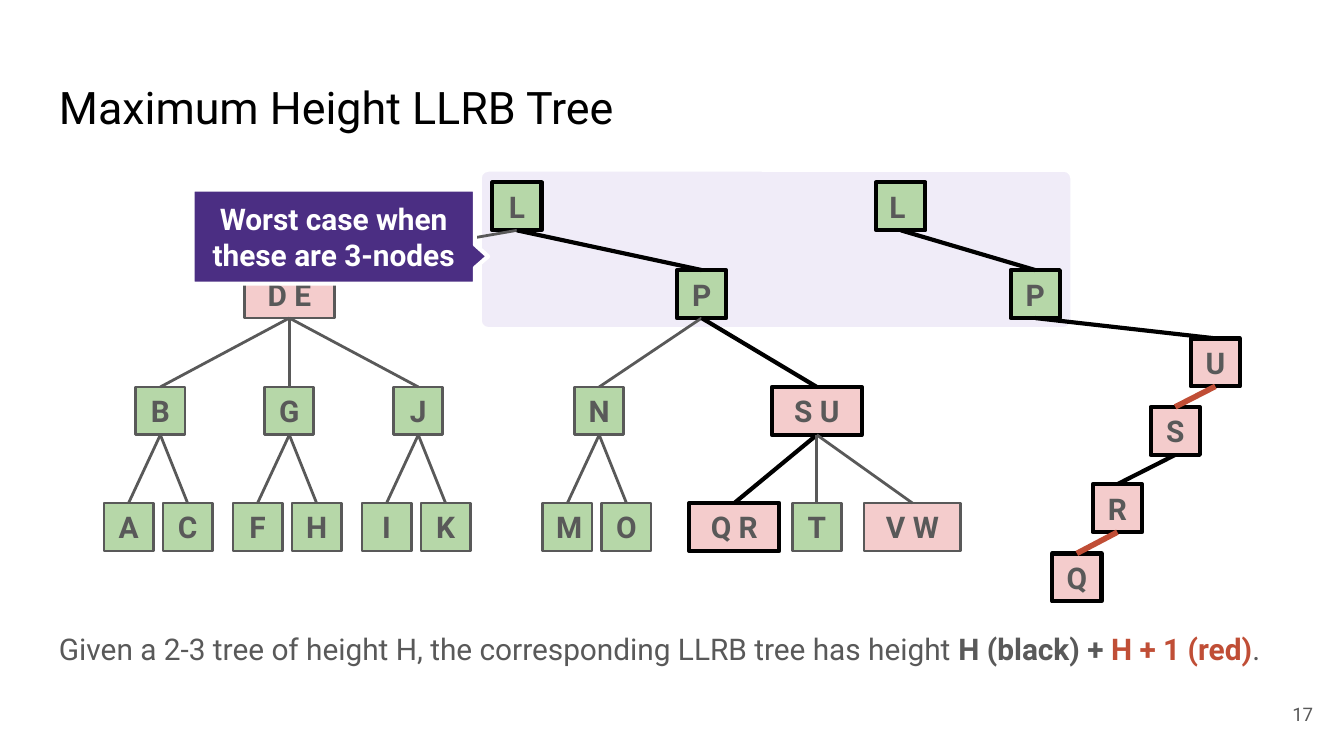
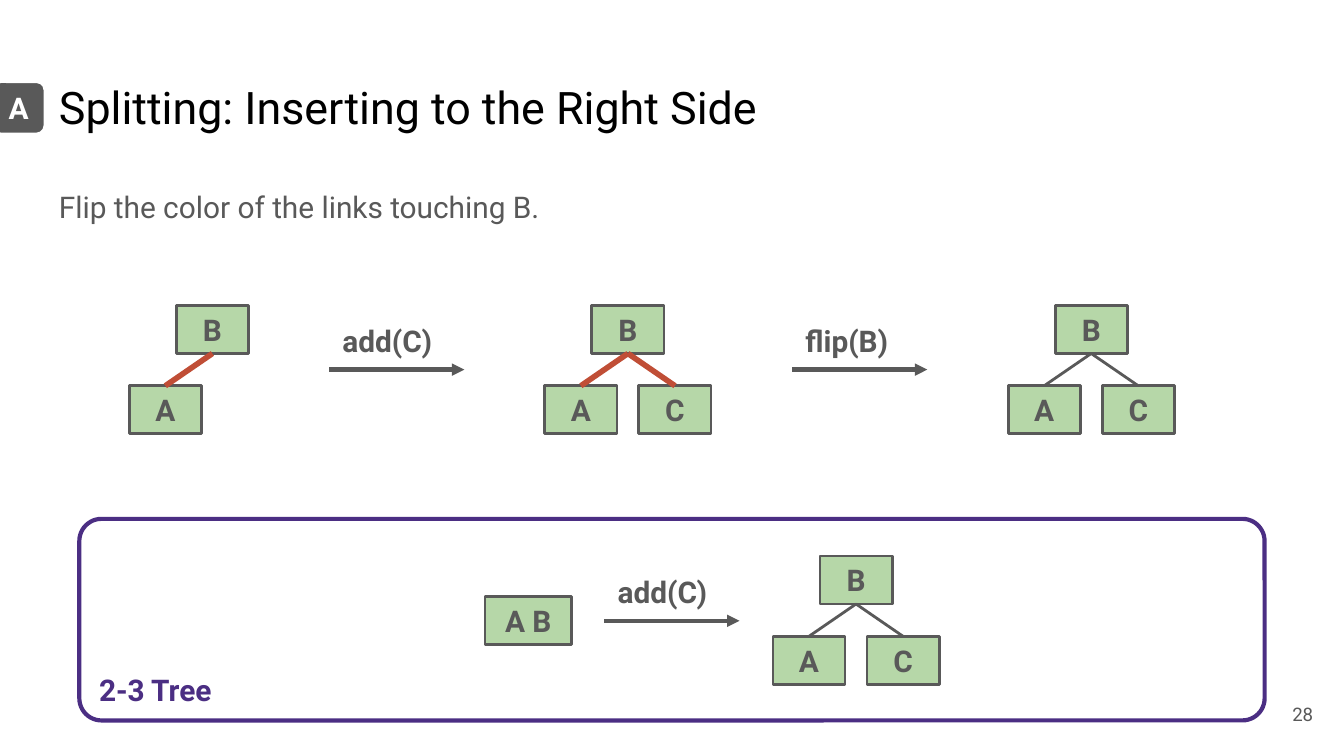
from dataclasses import dataclass

from lxml import etree
from pptx import Presentation
from pptx.dml.color import RGBColor
from pptx.enum.shapes import MSO_CONNECTOR, MSO_SHAPE
from pptx.enum.text import MSO_ANCHOR, PP_ALIGN
from pptx.oxml.ns import qn
from pptx.util import Pt

STRAIGHT = MSO_CONNECTOR.STRAIGHT
RECTANGLE = MSO_SHAPE.RECTANGLE
ROUNDED = MSO_SHAPE.ROUNDED_RECTANGLE
CALLOUT = MSO_SHAPE.ROUNDED_RECTANGULAR_CALLOUT
LEFT, CENTER, RIGHT = PP_ALIGN.LEFT, PP_ALIGN.CENTER, PP_ALIGN.RIGHT
TOP, MIDDLE, BOTTOM = MSO_ANCHOR.TOP, MSO_ANCHOR.MIDDLE, MSO_ANCHOR.BOTTOM
TOP_SIDE, BOTTOM_SIDE = 0, 2


@dataclass(frozen=True)
class Theme:
    font: str = "Roboto"
    title_size: float = 24
    body_size: float = 16
    number_size: float = 10
    black: str = "000000"
    white: str = "FFFFFF"
    gray: str = "595959"
    green: str = "B6D7A8"
    pink: str = "F4CCCC"
    red: str = "C04E36"
    purple: str = "4B2E83"
    lavender: str = "F0ECF8"
    thin: float = 1.5
    thick: float = 2.25
    red_link: float = 3
    inset: float = 7.2


THEME = Theme()
NODE_WIDTH, NODE_HEIGHT = 26.4, 25.7
PAIR_WIDTH = 48.2
TREE_TOP = 97.7


def color(value):
    return RGBColor.from_string(value)


def write(shape, runs, size=THEME.body_size, ink=THEME.gray, bold=False,
          align=LEFT, anchor=TOP, vertical_inset=THEME.inset):
    """Fill a shape with one paragraph; runs is a string or (text, overrides) pairs."""
    frame = shape.text_frame
    frame.word_wrap = True
    frame.vertical_anchor = anchor
    frame.margin_left = frame.margin_right = Pt(THEME.inset)
    frame.margin_top = frame.margin_bottom = Pt(vertical_inset)
    paragraph = frame.paragraphs[0]
    paragraph.alignment = align
    paragraph.font.name = THEME.font
    paragraph.font.size = Pt(size)
    paragraph.font.bold = bold
    paragraph.font.color.rgb = color(ink)
    if isinstance(runs, str):
        runs = [(runs, {})]
    for text, overrides in runs:
        run = paragraph.add_run()
        run.text = text
        if "bold" in overrides:
            run.font.bold = overrides["bold"]
        if "ink" in overrides:
            run.font.color.rgb = color(overrides["ink"])
    return paragraph


def add_text(slide, box, runs, **style):
    return write(slide.shapes.add_textbox(*map(Pt, box)), runs, **style)


def add_panel(slide, kind, box, fill, line, line_width, adjustments=()):
    shape = slide.shapes.add_shape(kind, *map(Pt, box))
    shape.shadow.inherit = False
    if fill:
        shape.fill.solid()
        shape.fill.fore_color.rgb = color(fill)
    else:
        shape.fill.background()
    shape.line.color.rgb = color(line)
    shape.line.width = Pt(line_width)
    for index, value in enumerate(adjustments):
        shape.adjustments[index] = value
    return shape


def add_node(slide, box, keys, fill=THEME.green, critical=False, align=CENTER):
    line, width = (THEME.black, THEME.thick) if critical else (THEME.gray, THEME.thin)
    node = add_panel(slide, RECTANGLE, box, fill, line, width)
    write(node, keys, bold=True, align=align, anchor=MIDDLE)
    return node


def add_line(slide, start, end, ink, width):
    line = slide.shapes.add_connector(STRAIGHT, *map(Pt, (*start, *end)))
    line.line.color.rgb = color(ink)
    line.line.width = Pt(width)
    etree.SubElement(line._element.spPr, qn("a:effectLst"))
    return line


def add_link(slide, parent, child, ink=THEME.gray, width=THEME.thin):
    link = add_line(slide, (0, 0), (0, 0), ink, width)
    link.begin_connect(parent, BOTTOM_SIDE)
    link.end_connect(child, TOP_SIDE)


def add_frame(presentation, title, number):
    """Start a slide with its title and slide number."""
    slide = presentation.slides.add_slide(presentation.slide_layouts[6])
    add_text(slide, (24.5, 35.3, 671, 45.4), title, size=THEME.title_size, ink=THEME.black)
    add_text(slide, (667.4, 367.2, 43.2, 31), str(number), size=THEME.number_size,
             align=RIGHT, anchor=MIDDLE)
    return slide


def add_body(slide, top, runs):
    paragraph = add_text(slide, (24.5, top, 671, 32.4), runs)
    paragraph.line_spacing = 1.15
    paragraph.space_after = Pt(8)


def draw_two_three_tree(slide, left, top):
    level_tops = (0, 47, 109.6, 171.8)
    critical = {"L", "P", "S U", "Q R"}
    # keys: (level, centre, parent)
    places = {
        "L": (0, 221.5, None),
        "D E": (1, 99.6, "L"), "P": (1, 320.5, "L"),
        "B": (2, 30.5, "D E"), "G": (2, 99.6, "D E"), "J": (2, 168.7, "D E"),
        "N": (2, 265.6, "P"), "S U": (2, 382.2, "P"),
        "Q R": (3, 338, "S U"), "T": (3, 382.2, "S U"), "V W": (3, 433.4, "S U"),
    }
    for parent, leaves in {"B": "AC", "G": "FH", "J": "IK", "N": "MO"}.items():
        for leaf, shift in zip(leaves, (-17, 14.6)):
            places[leaf] = (3, places[parent][1] + shift, parent)

    nodes = {}
    for keys, (level, center, _) in places.items():
        pair = " " in keys
        width = 51.8 if keys == "V W" else PAIR_WIDTH if pair else NODE_WIDTH
        box = (left + center - width / 2, top + level_tops[level], width, NODE_HEIGHT)
        nodes[keys] = add_node(slide, box, keys, THEME.pink if pair else THEME.green,
                               keys in critical)
    for keys, (_, _, parent) in places.items():
        if parent and keys in critical:
            add_link(slide, nodes[parent], nodes[keys], THEME.black, THEME.thick)
        elif parent:
            add_link(slide, nodes[parent], nodes[keys])


def draw_longest_path(slide, left, top):
    """Draw the root-to-leaf path of the LLRB tree, with its red links."""
    # key, x, y, fill, red link from the node above
    steps = (
        ("L", 0, 0, THEME.green, False),
        ("P", 72, 47, THEME.green, False),
        ("U", 168.5, 83.6, THEME.pink, False),
        ("S", 147, 120.3, THEME.pink, True),
        ("R", 116, 161.7, THEME.pink, False),
        ("Q", 94.3, 198.8, THEME.pink, True),
    )
    nodes = [
        add_node(slide, (left + x, top + y, NODE_WIDTH, NODE_HEIGHT), key, fill, True,
                 LEFT if key == "L" else CENTER)
        for key, x, y, fill, _ in steps
    ]
    for parent, child, step in zip(nodes, nodes[1:], steps[1:]):
        style = (THEME.red, THEME.red_link) if step[-1] else (THEME.black, THEME.thick)
        add_link(slide, parent, child, *style)


def draw_small_tree(slide, center, top, children="AC", red=False):
    """Draw root B and its children, centred on the root."""
    width, reach, drop = 38.7, 25.2, 43
    root = add_node(slide, (center - width / 2, top, width, NODE_HEIGHT), "B")
    style = (THEME.red, THEME.red_link) if red else (THEME.gray, THEME.thin)
    for key, shift in zip(children, (-reach, reach)):
        box = (center + shift - width / 2, top + drop, width, NODE_HEIGHT)
        add_link(slide, root, add_node(slide, box, key), *style)


def draw_operation(slide, left, top, label):
    """Draw an arrow with the name of the operation above it."""
    width, height = 72.4, 32.4
    arrow = add_line(slide, (left, top + height), (left + width, top + height),
                     THEME.gray, THEME.thick)
    etree.SubElement(arrow.line._get_or_add_ln(), qn("a:tailEnd"), type="triangle")
    add_text(slide, (left, top, width, height), label, bold=True)


def build_height_slide(presentation):
    slide = add_frame(presentation, "Maximum Height LLRB Tree", 17)
    add_panel(slide, ROUNDED, (257, 90.9, 317.5, 85.4), THEME.lavender,
              THEME.white, THEME.thick, (0.053,))
    draw_two_three_tree(slide, 55.4, TREE_TOP)
    draw_longest_path(slide, 469.4, TREE_TOP)
    callout = add_panel(slide, CALLOUT, (103.2, 101.6, 151.2, 50.4), THEME.purple,
                        THEME.white, THEME.thick, (0.547, 0.21, 0))
    write(callout, "Worst case when these are 3-nodes", ink=THEME.white, bold=True,
          align=CENTER, anchor=MIDDLE)
    add_body(slide, 327.6, [
        ("Given a 2-3 tree of height H, the corresponding LLRB tree has height ", {}),
        ("H (black) + ", {"bold": True}),
        ("H + 1 (red)", {"bold": True, "ink": THEME.red}),
        (".", {}),
    ])


def build_splitting_slide(presentation):
    slide = add_frame(presentation, "Splitting: Inserting to the Right Side", 28)
    add_body(slide, 90.9, "Flip the color of the links touching B.")
    badge = add_panel(slide, ROUNDED, (-4.3, 43.4, 28.8, 28.8), THEME.gray,
                      THEME.white, THEME.thick, (0.167,))
    write(badge, "A", ink=THEME.white, bold=True, align=CENTER, anchor=MIDDLE)

    row_top = 163.7
    draw_small_tree(slide, 113.8, row_top, children="A", red=True)
    draw_operation(slide, 176.4, row_top + 1.9, "add(C)")
    draw_small_tree(slide, 336.4, row_top, red=True)
    draw_operation(slide, 424.4, row_top + 1.9, "flip(B)")
    draw_small_tree(slide, 584.6, row_top)
    draw_two_three_panel(slide, 42.5, 278)


def draw_two_three_panel(slide, left, top):
    panel = add_panel(slide, ROUNDED, (left, top, 635, 108), None,
                      THEME.purple, THEME.thick, (0.11,))
    write(panel, "2-3 Tree", ink=THEME.purple, bold=True, anchor=BOTTOM, vertical_inset=3.6)
    add_node(slide, (left + 217.3, top + 41.7, 46.4, NODE_HEIGHT), "A B")
    draw_operation(slide, left + 281.3, top + 22.2, "add(C)")
    draw_small_tree(slide, left + 416.1, top + 19.9)


def main():
    presentation = Presentation()
    presentation.slide_width = Pt(720)
    presentation.slide_height = Pt(405)
    build_height_slide(presentation)
    build_splitting_slide(presentation)
    presentation.save("out.pptx")


if __name__ == "__main__":
    main()
